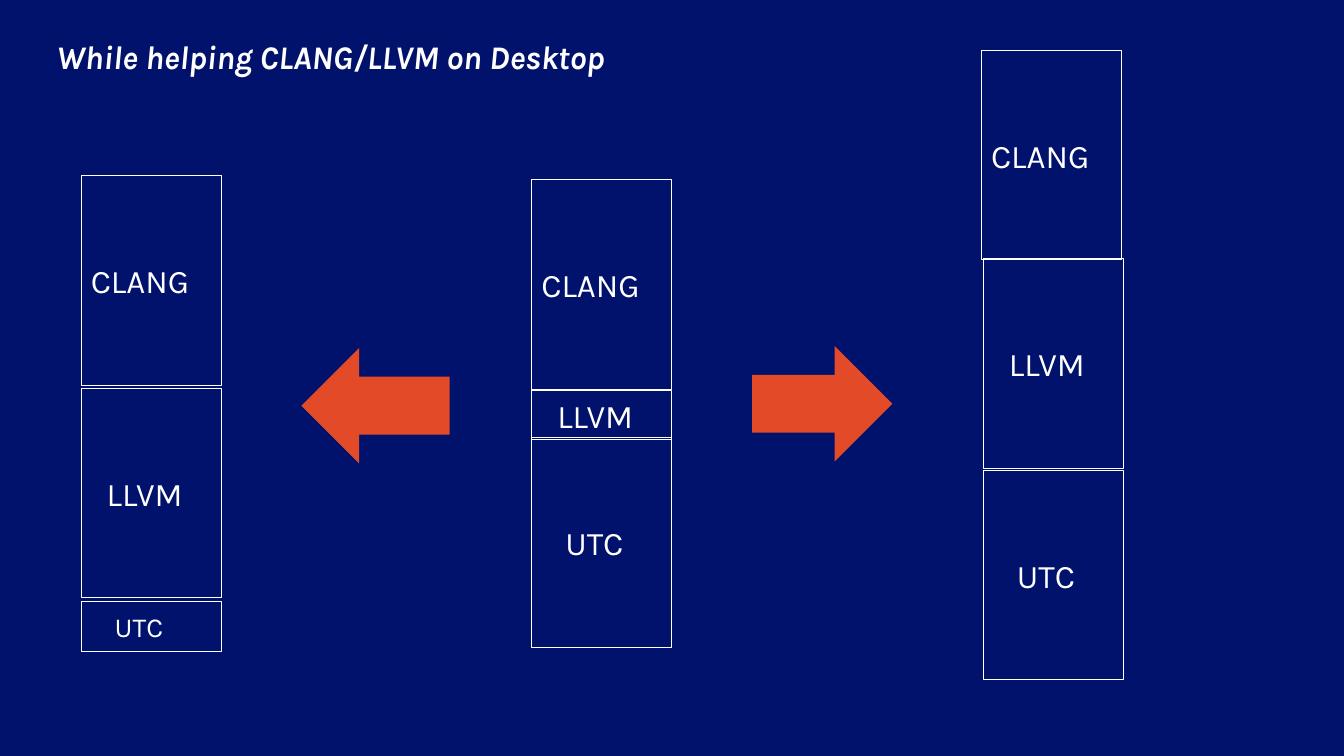
from dataclasses import dataclass

from pptx import Presentation
from pptx.dml.color import RGBColor
from pptx.enum.shapes import MSO_SHAPE
from pptx.enum.text import MSO_ANCHOR, MSO_AUTO_SIZE, PP_ALIGN
from pptx.util import Inches, Pt

LEFT_ARROW, RIGHT_ARROW = MSO_SHAPE.LEFT_ARROW, MSO_SHAPE.RIGHT_ARROW
RECTANGLE = MSO_SHAPE.RECTANGLE
MIDDLE, LEFT = MSO_ANCHOR.MIDDLE, PP_ALIGN.LEFT
NO_AUTOFIT = MSO_AUTO_SIZE.NONE

NAVY, WHITE, ORANGE = "00126B", "FFFFFF", "E34A28"
BLOCK_WIDTH, TALL, SHORT = 1.42, 2.12, 0.5
INSET = 0.1
INDENTS = {"CLANG": 0, "LLVM": 0.16, "UTC": 0.24}


@dataclass
class Block:
    label: str
    left: float
    top: float
    height: float = TALL
    size: int = 24


@dataclass
class Arrow:
    kind: MSO_SHAPE
    left: float
    top: float
    width: float


BLOCKS = [
    # Left stack: little UTC
    Block("CLANG", 0.82, 1.78),
    Block("LLVM", 0.82, 3.93),
    Block("UTC", 0.82, 6.09, SHORT, 20),
    # Middle stack: little LLVM
    Block("CLANG", 5.38, 1.82),
    Block("LLVM", 5.38, 3.95, SHORT),
    Block("UTC", 5.38, 4.43),
    # Right stack: all equal
    Block("CLANG", 9.93, 0.51),
    Block("LLVM", 9.95, 2.62),
    Block("UTC", 9.95, 4.76),
]
ARROWS = [
    Arrow(LEFT_ARROW, 3.05, 3.52, 1.5),
    Arrow(RIGHT_ARROW, 7.61, 3.5, 1.42),
]


def colour(hex_value: str) -> RGBColor:
    return RGBColor.from_string(hex_value)


def write(shape, text: str, indent: float = 0, **font_values) -> None:
    frame = shape.text_frame
    frame_values = {
        "word_wrap": True,
        "auto_size": NO_AUTOFIT,
        "vertical_anchor": MIDDLE,
        "margin_left": Inches(INSET + indent),
    }
    for name, value in frame_values.items():
        setattr(frame, name, value)
    paragraph = frame.paragraphs[0]
    paragraph.alignment = LEFT
    run = paragraph.add_run()
    run.text = text
    for name, value in {"name": "Karla", **font_values}.items():
        setattr(run.font, name, value)
    run.font.color.rgb = colour(WHITE)


def draw_block(slide, block: Block) -> None:
    box = slide.shapes.add_shape(
        RECTANGLE, Inches(block.left), Inches(block.top),
        Inches(BLOCK_WIDTH), Inches(block.height))
    box.shadow.inherit = False
    box.fill.background()
    box.line.color.rgb = colour(WHITE)
    box.line.width = Pt(0.75)
    write(box, block.label, INDENTS[block.label], size=Pt(block.size))


def draw_arrow(slide, arrow: Arrow) -> None:
    pointer = slide.shapes.add_shape(
        arrow.kind, Inches(arrow.left), Inches(arrow.top),
        Inches(arrow.width), Inches(1.17))
    pointer.shadow.inherit = False
    pointer.fill.solid()
    pointer.fill.fore_color.rgb = colour(ORANGE)
    pointer.line.fill.background()


def main() -> None:
    deck = Presentation()
    deck.slide_width, deck.slide_height = Inches(13.6), Inches(7.65)
    slide = deck.slides.add_slide(deck.slide_layouts[5])
    slide.background.fill.solid()
    slide.background.fill.fore_color.rgb = colour(NAVY)

    # Heading
    heading = slide.shapes.title
    place = {"left": 0.47, "top": 0.32, "width": 7.15, "height": 0.5}
    for name, value in place.items():
        setattr(heading, name, Inches(value))
    write(heading, "While helping CLANG/LLVM on Desktop",
          size=Pt(24), bold=True, italic=True)

    # Stacks and the arrows between them
    for block in BLOCKS:
        draw_block(slide, block)
    for arrow in ARROWS:
        draw_arrow(slide, arrow)

    deck.save("out.pptx")


if __name__ == "__main__":
    main()
